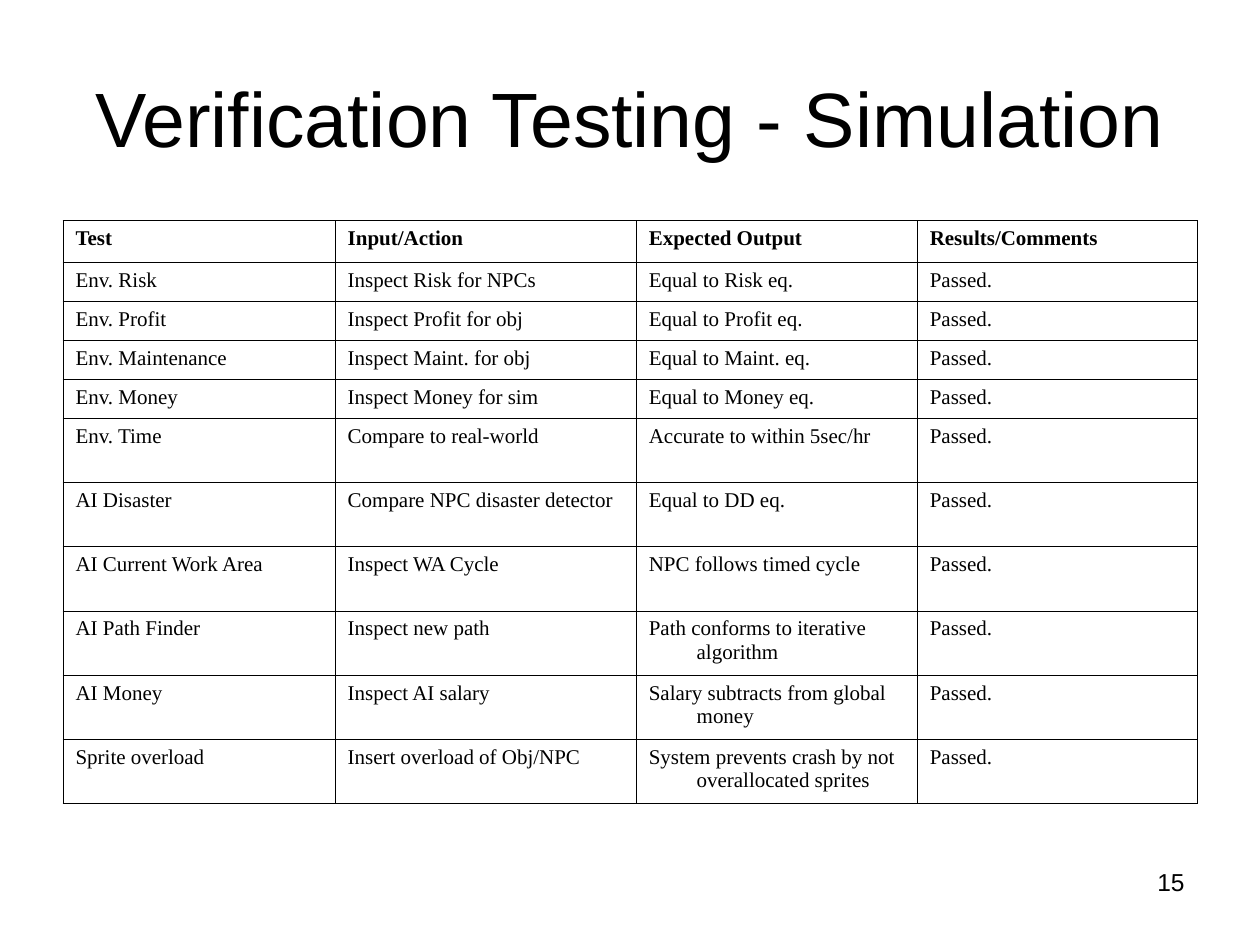
from lxml import etree
from pptx import Presentation
from pptx.dml.color import RGBColor
from pptx.enum.text import MSO_ANCHOR, PP_ALIGN
from pptx.oxml.ns import qn
from pptx.util import Inches, Pt

BLACK = RGBColor(0, 0, 0)
WHITE = RGBColor(255, 255, 255)
MIDDLE = MSO_ANCHOR.MIDDLE
CENTER, RIGHT = PP_ALIGN.CENTER, PP_ALIGN.RIGHT
SANS, SERIF = "Arial", "Times New Roman"
TITLE_ONLY = 5

HEADS = ("Test", "Input/Action", "Expected Output", "Results/Comments")
TESTS = (
    ("Env. Risk", "Inspect Risk for NPCs", "Equal to Risk eq."),
    ("Env. Profit", "Inspect Profit for obj", "Equal to Profit eq."),
    ("Env. Maintenance", "Inspect Maint. for obj", "Equal to Maint. eq."),
    ("Env. Money", "Inspect Money for sim", "Equal to Money eq."),
    ("Env. Time", "Compare to real-world", "Accurate to within 5sec/hr"),
    ("AI Disaster", "Compare NPC disaster detector", "Equal to DD eq."),
    ("AI Current Work Area", "Inspect WA Cycle", "NPC follows timed cycle"),
    ("AI Path Finder", "Inspect new path", "Path conforms to iterative algorithm"),
    ("AI Money", "Inspect AI salary", "Salary subtracts from global money"),
    ("Sprite overload", "Insert overload of Obj/NPC",
     "System prevents crash by not overallocated sprites"),
)
RESULT = "Passed."
WIDTHS = (2.16, 2.39, 2.23, 2.22)
HEIGHTS = [0.33] + [0.31] * 4 + [0.51] * 6


def set_font(para, name, size, bold=False):
    font = para.font
    font.name, font.size, font.bold = name, Pt(size), bold
    font.color.rgb = BLACK


def add_title(slide, box, text):
    title = slide.shapes.title
    title.left, title.top, title.width, title.height = box
    frame = title.text_frame
    frame.text = text
    frame.vertical_anchor = MIDDLE
    para = frame.paragraphs[0]
    para.alignment = CENTER
    set_font(para, SANS, 44)


def set_borders(cell):
    props = cell._tc.get_or_add_tcPr()
    for side in ("lnL", "lnR", "lnT", "lnB"):
        line = etree.SubElement(props, qn("a:" + side), w=str(Pt(0.45)))
        fill = etree.SubElement(line, qn("a:solidFill"))
        etree.SubElement(fill, qn("a:srgbClr"), val=str(BLACK))


def fill_cell(cell, text, bold):
    """Write one bordered cell whose wrapped lines hang to the right."""
    cell.text = text
    para = cell.text_frame.paragraphs[0]
    props = para._p.get_or_add_pPr()
    props.set("marL", str(Inches(0.38)))
    props.set("indent", str(Inches(-0.38)))
    set_font(para, SERIF, 12, bold)
    set_borders(cell)
    cell.fill.solid()
    cell.fill.fore_color.rgb = WHITE


def add_tests(slide, box):
    rows = [HEADS] + [test + (RESULT,) for test in TESTS]
    table = slide.shapes.add_table(len(rows), len(HEADS), *box).table
    table.first_row = table.horz_banding = False
    for col, width in zip(table.columns, WIDTHS):
        col.width = Inches(width)
    for row, height in zip(table.rows, HEIGHTS):
        row.height = Inches(height)
    for r, texts in enumerate(rows):
        for c, text in enumerate(texts):
            fill_cell(table.cell(r, c), text, bold=r == 0)


def add_number(slide, box, text):
    frame = slide.shapes.add_textbox(*box).text_frame
    frame.word_wrap = True
    frame.text = text
    para = frame.paragraphs[0]
    para.alignment = RIGHT
    set_font(para, SANS, 14)


def main():
    deck = Presentation()
    deck.slide_width, deck.slide_height = Inches(10), Inches(7.5)
    slide = deck.slides.add_slide(deck.slide_layouts[TITLE_ONLY])
    left, width = Inches(0.5), Inches(9)
    add_title(slide, (left, Inches(0.3), width, Inches(1.25)),
              "Verification Testing - Simulation")
    add_tests(slide, (left, Inches(1.75), width, Inches(sum(HEIGHTS))))
    add_number(slide, (Inches(7.17), Inches(6.83), Inches(2.33), Inches(0.52)), "15")
    deck.save("out.pptx")


if __name__ == "__main__":
    main()
